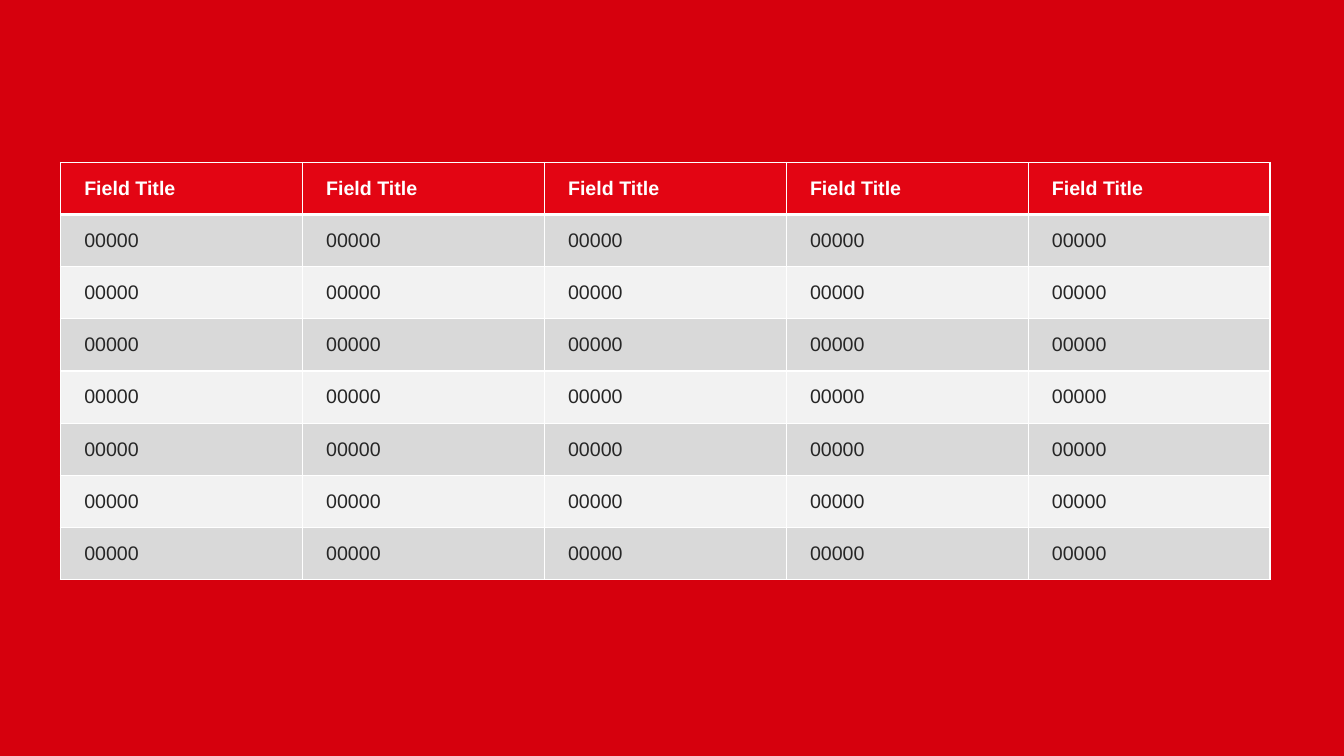
from lxml import etree
from pptx import Presentation
from pptx import util as u
from pptx.dml.color import RGBColor
from pptx.enum import text
from pptx.oxml import ns

ROWS, COLUMNS = 8, 5
COLUMN_WIDTH, ROW_HEIGHT = 172.8, 37.26


def color(value):
    return RGBColor.from_string(value)


def add_border(cell, side, width):
    """Draw a white line on one side (L, R, T or B); call before filling the cell."""
    line = etree.SubElement(cell._tc.get_or_add_tcPr(), ns.qn(f"a:ln{side}"), w=str(u.Pt(width)))
    fill = etree.SubElement(line, ns.qn("a:solidFill"))
    etree.SubElement(fill, ns.qn("a:srgbClr"), val="FFFFFF")


deck = Presentation()
deck.slide_width, deck.slide_height = u.Pt(960), u.Pt(540)
page = deck.slides.add_slide(deck.slide_layouts[6])
page.background.fill.solid()
page.background.fill.fore_color.rgb = color("D6000D")

frame = page.shapes.add_table(
    ROWS, COLUMNS, u.Pt(43.2), u.Pt(116), u.Pt(COLUMNS * COLUMN_WIDTH), u.Pt(ROWS * ROW_HEIGHT)
)
table = frame.table
for column in table.columns:
    column.width = u.Pt(COLUMN_WIDTH)

for index, row in enumerate(table.rows):
    row.height = u.Pt(ROW_HEIGHT)
    is_header = index == 0
    if is_header:
        label, fill_color, text_color = "Field Title", "E30513", "FFFFFF"
    else:
        label, text_color = "00000", "262626"
        fill_color = "D9D9D9" if index % 2 else "F2F2F2"

    for cell in row.cells:
        add_border(cell, "L", 1)
        add_border(cell, "R", 1)
        add_border(cell, "T", 3 if index == 1 else 1)
        add_border(cell, "B", 3 if is_header else 1)
        cell.fill.solid()
        cell.fill.fore_color.rgb = color(fill_color)
        cell.vertical_anchor = text.MSO_ANCHOR.MIDDLE
        cell.margin_left, cell.margin_right = u.Pt(17), u.Pt(7.2)
        cell.margin_top = cell.margin_bottom = u.Pt(3.6)
        cell.text_frame.text = label
        font = cell.text_frame.paragraphs[0].runs[0].font
        font.name, font.size, font.bold = "Arial", u.Pt(14), is_header
        font.color.rgb = color(text_color)

deck.save("out.pptx")
